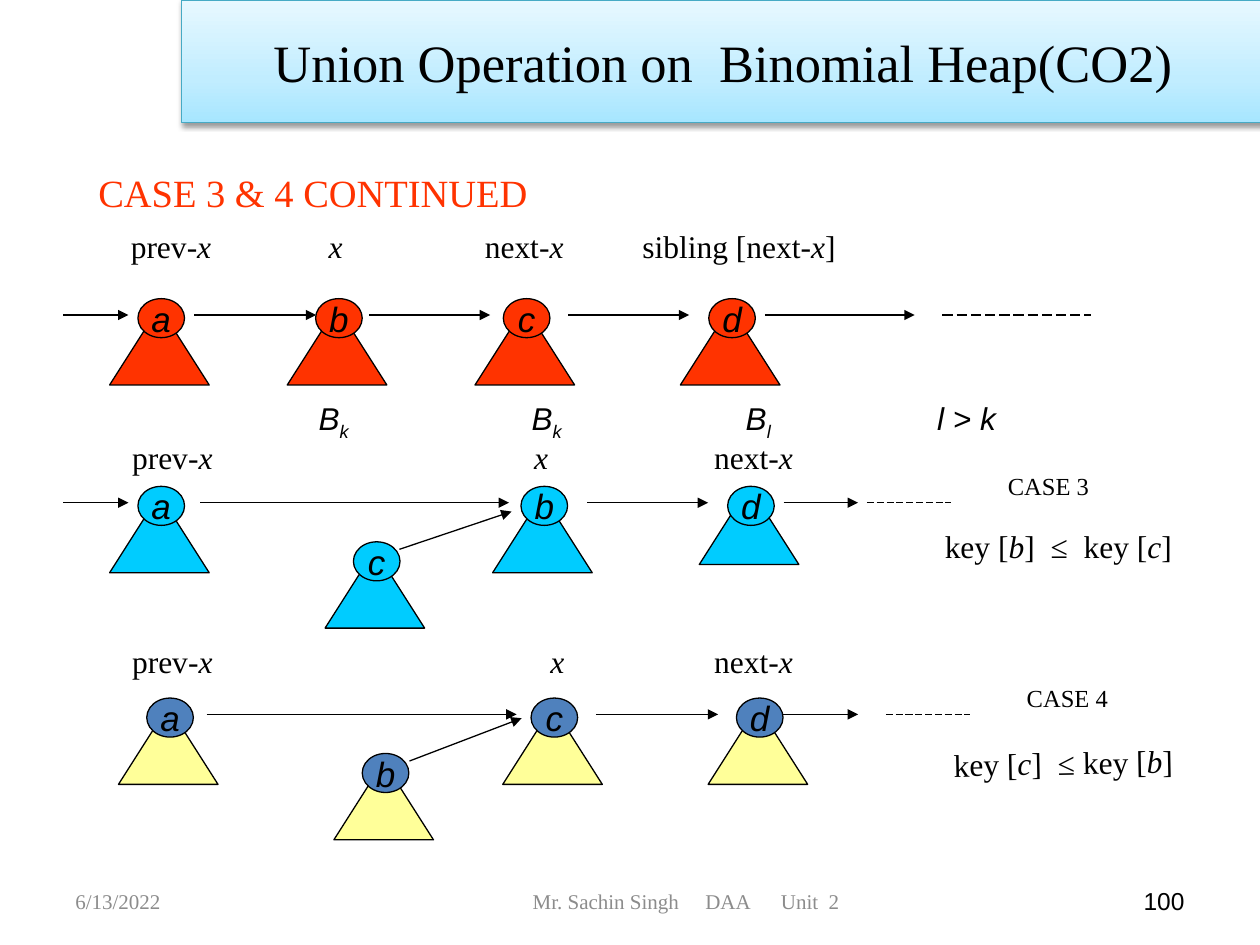
import copy

import pptx
import pptx.dml.color
import pptx.enum.dml
import pptx.enum.shapes
import pptx.enum.text
import pptx.oxml
import pptx.oxml.ns
import pptx.util

RGBColor = pptx.dml.color.RGBColor
BLACK = RGBColor(0x00, 0x00, 0x00)
GREY = RGBColor(0x8C, 0x8C, 0x8C)
RED = RGBColor(0xFF, 0x33, 0x00)
CYAN = RGBColor(0x00, 0xCC, 0xFF)
YELLOW = RGBColor(0xFF, 0xFF, 0x99)
BLUE = RGBColor(0x4F, 0x81, 0xBD)
TEAL = RGBColor(0x46, 0xAA, 0xC5)
BANNER = [(0, RGBColor(0xA7, 0xE6, 0xFF)),
          (0.35, RGBColor(0xC1, 0xED, 0xFF)),
          (1, RGBColor(0xE7, 0xF8, 0xFF))]

SERIF, SANS = "Times New Roman", "Arial"
COLS, ROWS = 100, 75
ALIGN = pptx.enum.text.PP_ALIGN
MIDDLE = pptx.enum.text.MSO_ANCHOR.MIDDLE
SHAPE = pptx.enum.shapes.MSO_SHAPE
NS = pptx.oxml.ns.nsdecls("a")


def grid(*cells):
    return [pptx.util.Inches(cell / 10) for cell in cells]


def place(sp, *cells):
    sp.left, sp.top, sp.width, sp.height = grid(*cells)


def add_xml(parent, xml):
    parent.append(pptx.oxml.parse_xml(xml.replace(">", f" {NS}>", 1)))


def write(tf, text, size=18, font=SERIF, color=BLACK, italic=False,
          align=ALIGN.LEFT, tabs=()):
    """Asterisks switch italics and tildes switch subscript."""
    p = tf.paragraphs[0]
    p.alignment = align
    p.space_before = pptx.util.Pt(0)
    if tabs:
        stops = "".join(f'<a:tab pos="{pos}" algn="l"/>' for pos in grid(*tabs))
        add_xml(p._p.get_or_add_pPr(), f"<a:tabLst>{stops}</a:tabLst>")
    for i, part in enumerate(text.split("*")):
        for j, piece in enumerate(part.split("~")):
            if not piece:
                continue
            r = p.add_run()
            r.text = piece
            r.font.size = pptx.util.Pt(size)
            r.font.name = font
            r.font.color.rgb = color
            r.font.italic = italic or i % 2 == 1
            if j % 2:
                r.font._element.set("baseline", "-25000")


def add_label(s, cells, text, rotation=0, anchor=None, **fmt):
    sp = s.shapes.add_textbox(*grid(*cells))
    sp.rotation = rotation
    tf = sp.text_frame
    tf.word_wrap = True
    if anchor is not None:
        tf.vertical_anchor = anchor
    write(tf, text, **fmt)


def add_outlined(s, kind, cells, fill):
    sp = s.shapes.add_shape(kind, *grid(*cells))
    sp.shadow.inherit = False
    sp.fill.solid()
    sp.fill.fore_color.rgb = fill
    sp.line.color.rgb = BLACK
    sp.line.width = pptx.util.Pt(0.75)
    return sp


def add_tree(s, col, row, name, fill, root_fill, lift=0):
    add_outlined(s, SHAPE.ISOSCELES_TRIANGLE,
                 (col, row + 0.65 - lift, 7.9, 6.2), fill)
    sp = add_outlined(s, SHAPE.OVAL, (col + 2.25, row, 3.7, 3.1), root_fill)
    tf = sp.text_frame
    tf.word_wrap = False
    tf.vertical_anchor = MIDDLE
    write(tf, name, size=20, font=SANS, italic=True, align=ALIGN.CENTER)


def add_line(s, x1, y1, x2, y2, width=0.75, dashed=False):
    sp = s.shapes.add_connector(pptx.enum.shapes.MSO_CONNECTOR.STRAIGHT,
                                *grid(x1, y1, x2, y2))
    sp.line.color.rgb = BLACK
    sp.line.width = pptx.util.Pt(width)
    if dashed:
        sp.line.dash_style = pptx.enum.dml.MSO_LINE.LONG_DASH
    else:
        add_xml(sp.line._get_or_add_ln(), '<a:tailEnd type="triangle"></a:tailEnd>')
    add_xml(sp._element.spPr, "<a:effectLst></a:effectLst>")


def add_heap(s, row, trees, arrows, dash, dash_width, fill, root_fill):
    wire = row + 1.3
    for x1, x2 in arrows:
        add_line(s, x1, wire, x2, wire)
    add_line(s, dash[0], wire, dash[1], wire, dash_width, dashed=True)
    for name, col, drop, lift in trees:
        add_tree(s, col, row + drop, name, fill, root_fill, lift)


def format_title(sp):
    place(sp, 14.4, 0, 86, 9.7)
    sp.fill.gradient()
    sp.fill.gradient_angle = 90
    stops = sp._element.spPr.find(".//" + pptx.oxml.ns.qn("a:gsLst"))
    stops.append(copy.deepcopy(stops[0]))
    for stop, (position, color) in zip(sp.fill.gradient_stops, BANNER):
        stop.position = position
        stop.color.rgb = color
    sp.line.color.rgb = TEAL
    sp.line.width = pptx.util.Pt(0.75)
    add_xml(sp._element.spPr,
            '<a:effectLst><a:outerShdw blurRad="40000" dist="20000" dir="5400000" '
            'rotWithShape="0"><a:srgbClr val="000000"><a:alpha val="38000"/>'
            "</a:srgbClr></a:outerShdw></a:effectLst>")
    sp.text_frame.vertical_anchor = MIDDLE
    write(sp.text_frame, "Union Operation on  Binomial Heap(CO2)", size=30,
          align=ALIGN.CENTER)


def format_body(sp):
    place(sp, 6.8, 12.9, 45, 5.8)
    pPr = sp.text_frame.paragraphs[0]._p.get_or_add_pPr()
    indent = grid(3.8)[0]
    pPr.set("marL", str(indent))
    pPr.set("indent", str(-indent))
    add_xml(pPr, "<a:buNone></a:buNone>")
    write(sp.text_frame, "CASE 3 & 4 CONTINUED", size=22, color=RED)


def main():
    prs = pptx.Presentation()
    prs.slide_width, prs.slide_height = grid(COLS, ROWS)
    s = prs.slides.add_slide(prs.slide_layouts[1])
    format_title(s.shapes.title)
    format_body(s.placeholders[1])

    add_heap(s, 23.7,
             [("a", 8.7, 0, 0), ("b", 22.8, 0, 0), ("c", 37.7, 0, 0), ("d", 54, 0, 0)],
             [(5, 10.2), (15.4, 25.1), (29.3, 38.9), (45.1, 54.7), (60.7, 72.6)],
             (74.8, 86.6), 0.75, RED, RED)
    add_heap(s, 38.6,
             [("a", 8.7, 0, 0), ("c", 25.8, 4.4, 0), ("b", 39.1, 0, 0),
              ("d", 55.5, 0, 0.65)],
             [(5, 10.2), (15.9, 40.4), (46.6, 56.2), (62.2, 68.1)],
             (68.8, 75.5), 0.5, CYAN, CYAN)
    add_heap(s, 55.4,
             [("a", 9.4, 0, 0), ("b", 26.5, 4.4, 0), ("c", 39.9, 0, 0),
              ("d", 56.2, 0, 0)],
             [(16.4, 41), (47.3, 57), (62.1, 68.1)],
             (70.3, 77), 0.5, YELLOW, BLUE)
    add_line(s, 31.7, 43.6, 40.6, 40.6)
    add_line(s, 32.5, 60.4, 41.4, 57)

    add_label(s, (9.4, 17.5, 69.3, 4),
              "prev*-x\tx\t*next*-x\t*sibling [next*-x*]", tabs=(15.7, 28.1, 40.6))
    add_label(s, (9.5, 34.3, 60.9, 4), "prev*-x\tx\t*next*-x*", tabs=(31.9, 46.2))
    add_label(s, (9.5, 50.5, 60.9, 4), "prev*-x\tx\t*next*-x*", tabs=(33.2, 46.2))
    add_label(s, (24.3, 31.2, 59.2, 4), "B~k~\tB~k~\tB~l~\tl > k",
              font=SANS, italic=True, tabs=(16.9, 33.9, 49.1))

    add_label(s, (79, 36.9, 12.1, 3.3), "CASE 3", size=14)
    add_label(s, (74, 41.3, 22.6, 4), "key [*b*]  ≤  key [*c*]")
    add_label(s, (80.5, 53.7, 12.1, 3.3), "CASE 4", size=14)
    add_label(s, (74.7, 58.5, 21.1, 4), "key [*c*]  ≤ key [*b*]", rotation=-1.1)

    add_label(s, (5, 69.5, 23.3, 4), "6/13/2022", anchor=MIDDLE, size=12, color=GREY)
    add_label(s, (34.2, 69.5, 40.6, 4), "\tMr. Sachin Singh\tDAA\tUnit  2",
              anchor=MIDDLE, size=12, color=GREY, tabs=(7.1, 20.8, 26.8))
    add_label(s, (71.7, 69.5, 23.3, 4), "100", anchor=MIDDLE, size=14, font=SANS,
              align=ALIGN.RIGHT)
    prs.save("out.pptx")


if __name__ == "__main__":
    main()
